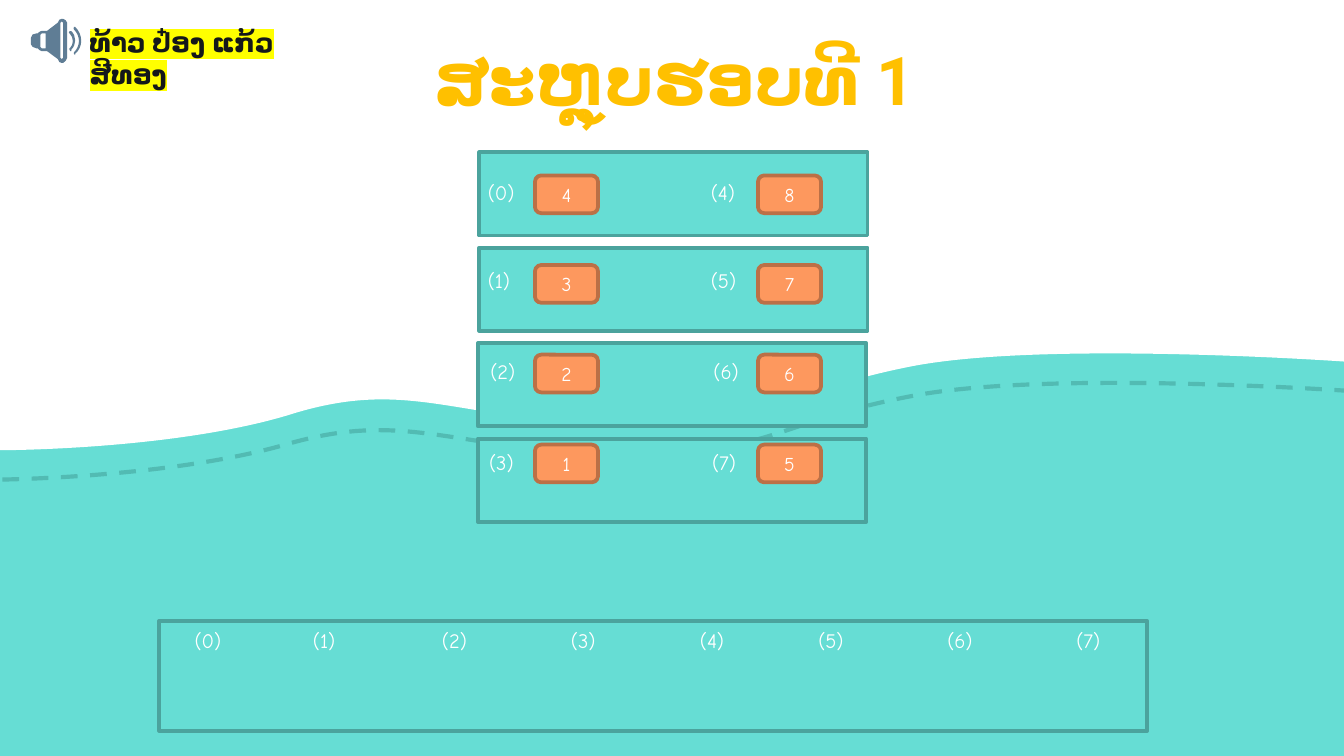
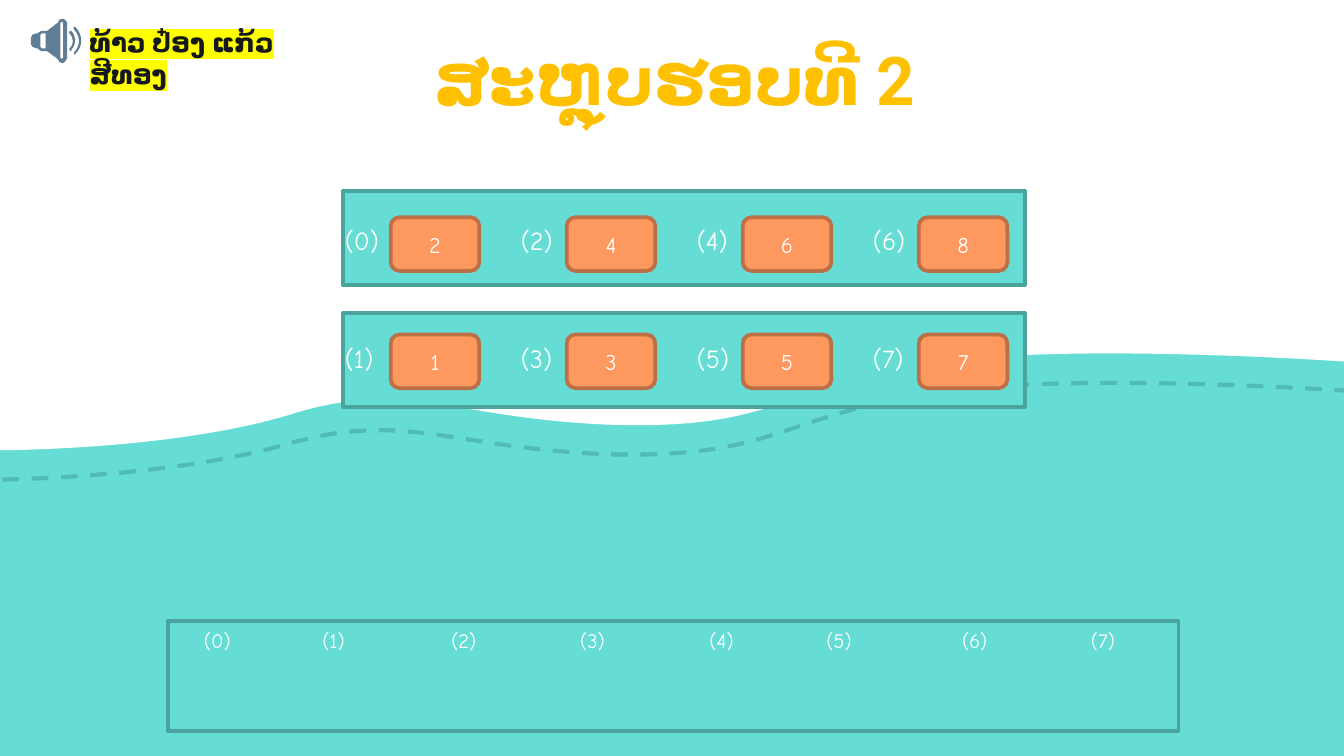
from dataclasses import dataclass
from typing import NamedTuple

from lxml.etree import SubElement
from pptx import Presentation
from pptx.dml.color import RGBColor
from pptx.enum.dml import MSO_LINE
from pptx.enum.shapes import MSO_SHAPE
from pptx.enum.text import MSO_ANCHOR, MSO_AUTO_SIZE, PP_ALIGN
from pptx.oxml.ns import qn
from pptx.shapes.autoshape import Shape
from pptx.shapes.shapetree import GroupShapes, SlideShapes
from pptx.slide import Slide, SlideLayout
from pptx.util import Pt

COLORS = {
    "sea": "66DDD4",
    "sea_line": "4BA39D",
    "wave_line": "52BBB3",
    "sky": "FFFFFF",
    "label": "FFFFFF",
    "title": "FFC000",
    "tile": "FD985E",
    "tile_line": "BB7046",
    "speaker": "5F7D95",
    "name": "14181A",
    "highlight": "FFFF00",
}
BODY_FONT = "Comic Neue"
HEAD_FONT = "Roboto"
PLAYER_NAME = "ທ້າວ ປ໋ອງ ແກ້ວສີທອງ"

# A contour starts at a point; two numbers add a line, six add a Bézier curve.
Contour = tuple[tuple[float, ...], ...]

DASHED_WAVE: Contour = (
    (723.6, 15.8), (-2.9, 15.8), (-2.9, 257),
    (-2.9, 257, 89.3, 256.3, 152.6, 238.3),
    (216, 219.6, 239.8, 239.8, 325.4, 243.4),
    (410.4, 245.5, 415.4, 226.1, 487.4, 212.4),
    (559.4, 198, 723.6, 209.5, 723.6, 209.5),
)
SKY: Contour = (
    (720, 0), (0, 0), (0, 241.2),
    (0, 241.2, 91.4, 241.2, 154.1, 222.5),
    (217.4, 202.3, 241.2, 223.9, 325.4, 227.5),
    (410.4, 230.4, 414.7, 211, 486.7, 196.6),
    (557.3, 182.2, 720, 193.7, 720, 193.7),
)
OUTER_SOUND: Contour = (
    (40.3, 14.4), (39.6, 14.4, 39.6, 14.4, 39.6, 14.4),
    (39.4, 15.1, 39.4, 15.8, 39.6, 15.8),
    (43.2, 19.4, 43.2, 24.5, 39.6, 28.1),
    (39.4, 28.1, 39.4, 28.8, 39.6, 28.8),
    (39.6, 29.5, 39.6, 29.5, 40.3, 29.5),
    (40.3, 29.5, 40.3, 29.5, 40.3, 28.8),
    (44.6, 25.2, 44.6, 18.7, 40.3, 14.4),
)
INNER_SOUND: Contour = (
    (38.2, 16.6), (37.4, 16.6, 37.4, 16.6, 37.4, 16.6),
    (36.7, 17.3, 36.7, 18, 37.4, 18),
    (39.6, 20.2, 39.6, 23.8, 37.4, 25.9),
    (36.7, 25.9, 36.7, 26.6, 37.4, 26.6),
    (37.4, 27.4, 37.4, 27.4, 38.2, 27.4),
    (38.2, 27.4, 38.2, 27.4, 38.2, 26.6),
    (41, 23.8, 41, 19.4, 38.2, 16.6),
)
MAGNET_HOLE: Contour = (
    (24.5, 18), (24.5, 25.9), (22.3, 25.9),
    (21.6, 25.9, 21.6, 25.2, 21.6, 25.2), (21.6, 18.7),
    (21.6, 18, 21.6, 18, 22.3, 18),
)
CONE_HOLE: Contour = (
    (33.1, 11.5), (33.8, 11.5, 33.8, 12.2, 33.8, 12.2), (33.8, 31),
    (33.8, 31.7, 33.8, 31.7, 33.1, 31.7),
    (33.1, 31.7, 32.4, 31.7, 32.4, 31), (32.4, 12.2),
    (32.4, 12.2, 33.1, 11.5, 33.1, 11.5),
)
SPEAKER_BODY: Contour = (
    (33.1, 10.1), (32.4, 10.1, 31, 10.8, 31, 12.2),
    (25.2, 16.6), (22.3, 16.6), (21.6, 16.6, 20.9, 17.3, 20.2, 18),
    (19.4, 18), (18, 18, 16.6, 18.7, 16.6, 20.2), (16.6, 23.8),
    (16.6, 24.5, 18, 25.9, 19.4, 25.9), (20.2, 25.9),
    (20.9, 26.6, 21.6, 27.4, 22.3, 27.4), (25.2, 27.4), (31, 31.7),
    (31, 33.1, 32.4, 33.8, 33.1, 33.8), (33.1, 33.8, 33.8, 33.8, 33.8, 33.8),
    (34.6, 33.1, 36, 32.4, 36, 31), (36, 12.2),
    (36, 11.5, 34.6, 10.1, 33.8, 10.1),
)


class Box(NamedTuple):
    left: float
    top: float
    width: float
    height: float

    def shifted(self, right: float = 0, down: float = 0) -> "Box":
        return self._replace(left=self.left + right, top=self.top + down)

    def lengths(self) -> tuple[Pt, ...]:
        return tuple(Pt(value) for value in self)


class TextStyle(NamedTuple):
    font: str
    size: float
    color: str
    bold: bool = False


class Row(NamedTuple):
    """Offsets of one row from the first."""
    band_right: float
    band_down: float
    label_right: float
    label_down: float
    tile_down: float


@dataclass(frozen=True)
class Stack:
    """Bands of numbered tiles, counted down each column."""
    rows: tuple[Row, ...]
    columns: int
    column_pitch: float
    band: Box
    label: Box
    label_size: float
    tile: Box
    tile_size: float


@dataclass(frozen=True)
class Round:
    title: str
    stack: Stack
    answer_band: Box
    slot_lefts: tuple[float, ...]


TITLE_BOX = Box(188.6, 13.4, 335.5, 91.4)
NAME_BOX = Box(41, 10.8, 150, 24.5)
SLOT_BOX = Box(0, 333, 33.8, 20.9)

ROUNDS = (
    Round(
        title="ສະຫຼຸບຮອບທີ 1",
        stack=Stack(
            rows=(Row(0, 0, 0, 0, 0), Row(0, 51.1, 0, 47.5, 48),
                  Row(-0.7, 102.2, 1.4, 95.8, 96), Row(-0.7, 153.4, 0.7, 144.7, 144.2)),
            columns=2, column_pitch=119.5,
            band=Box(256.7, 81.6, 208.1, 44.6),
            label=Box(254.2, 92.7, 36.7, 18), label_size=11,
            tile=Box(286.6, 94, 33.8, 20.2), tile_size=10.5,
        ),
        answer_band=Box(85.3, 332.6, 529.2, 59),
        slot_lefts=(97.2, 160.6, 229.7, 298.8, 367.9, 431.3, 500.4, 569.5),
    ),
    Round(
        title="ສະຫຼຸບຮອບທີ 2",
        stack=Stack(
            rows=(Row(0, 0, 0, 0, 0), Row(0, 65.5, 0, 63.2, 62.8)),
            columns=4, column_pitch=94.3,
            band=Box(183.7, 102.2, 365.3, 50.4),
            label=Box(177.7, 116.6, 47.5, 24.5), label_size=14,
            tile=Box(209.3, 116.4, 47.5, 28.8), tile_size=12,
        ),
        answer_band=Box(90, 332.6, 541.4, 59),
        slot_lefts=(102.2, 165.6, 234.7, 303.8, 373, 435.6, 508.3, 577.4),
    ),
)


def rgb(color: str) -> RGBColor:
    return RGBColor.from_string(COLORS[color])


def paint(shape: Shape, fill: str | None, line: str | None, width: float = 2) -> None:
    shape.shadow.inherit = False
    if fill:
        shape.fill.solid()
        shape.fill.fore_color.rgb = rgb(fill)
    else:
        shape.fill.background()
    if line:
        shape.line.color.rgb = rgb(line)
        shape.line.width = Pt(width)
    else:
        shape.line.fill.background()


def write(shape: Shape, text: str, style: TextStyle, highlight: str | None = None,
          alignment: PP_ALIGN = PP_ALIGN.LEFT, **frame_format: object) -> None:
    frame = shape.text_frame
    for name, value in {"word_wrap": True, **frame_format}.items():
        setattr(frame, name, value)
    paragraph = frame.paragraphs[0]
    paragraph.alignment = alignment
    run = paragraph.add_run()
    run.text = text
    font_format = {"name": style.font, "size": Pt(style.size), "bold": style.bold}
    for name, value in font_format.items():
        setattr(run.font, name, value)
    run.font.color.rgb = rgb(style.color)
    properties = run._r.get_or_add_rPr()
    SubElement(properties, qn("a:cs"), typeface=style.font)
    if highlight:
        mark = SubElement(properties, qn("a:highlight"))
        SubElement(mark, qn("a:srgbClr"), val=COLORS[highlight])
        properties.find(qn("a:latin")).addprevious(mark)


def add_label(shapes: SlideShapes | GroupShapes, box: Box, text: str,
              style: TextStyle, highlight: str | None = None) -> None:
    label = shapes.add_textbox(*box.lengths())
    write(label, text, style, highlight, auto_size=MSO_AUTO_SIZE.SHAPE_TO_FIT_TEXT)


def add_band(slide: Slide, box: Box) -> None:
    band = slide.shapes.add_shape(MSO_SHAPE.RECTANGLE, *box.lengths())
    paint(band, "sea", "sea_line")


def add_tile(slide: Slide, box: Box, number: int, size: float) -> None:
    tile = slide.shapes.add_shape(MSO_SHAPE.ROUNDED_RECTANGLE, *box.lengths())
    paint(tile, "tile", "tile_line")
    write(tile, str(number), TextStyle(BODY_FONT, size, "label"),
          alignment=PP_ALIGN.CENTER, vertical_anchor=MSO_ANCHOR.MIDDLE)


def add_outline(shapes: SlideShapes | GroupShapes, *contours: Contour) -> Shape:
    """Build a freeform, then join each three control points into a curve."""
    builder = shapes.build_freeform(*map(Pt, contours[0][0]))
    for number, (start, *segments) in enumerate(contours):
        if number:
            builder.move_to(*map(Pt, start))
        vertices = [(Pt(x), Pt(y)) for segment in segments
                    for x, y in zip(segment[::2], segment[1::2])]
        builder.add_line_segments(vertices, close=True)
    outline = builder.convert_to_shape()
    lines = iter(list(outline.element.iter(qn("a:lnTo"))))
    for segment in (part for contour in contours for part in contour[1:]):
        step = next(lines)
        if len(segment) == 6:
            step.addprevious(curve := step.makeelement(qn("a:cubicBezTo")))
            for control in (step, next(lines), next(lines)):
                curve.append(control[0])
                control.getparent().remove(control)
    return outline


def dress_layout(layout: SlideLayout, slide: Slide) -> None:
    """Draw the shared sea and sky on a slide, then hand them to its layout."""
    layout.background.fill.solid()
    layout.background.fill.fore_color.rgb = rgb("sea")
    wave = add_outline(slide.shapes, DASHED_WAVE)
    paint(wave, None, "wave_line", 2.25)
    wave.line.dash_style = MSO_LINE.DASH
    sky = add_outline(slide.shapes, SKY)
    paint(sky, "sky", None)
    for scenery in (wave, sky):
        layout.shapes.element.append(scenery.element)


def set_title(slide: Slide, text: str) -> None:
    title = slide.shapes.title
    for name, value in zip(Box._fields, TITLE_BOX.lengths()):
        setattr(title, name, value)
    margins = {f"margin_{side}": Pt(7.2) for side in ("left", "top", "right", "bottom")}
    write(title, text, TextStyle(HEAD_FONT, 36, "title", bold=True),
          alignment=PP_ALIGN.CENTER, vertical_anchor=MSO_ANCHOR.TOP,
          auto_size=MSO_AUTO_SIZE.NONE, **margins)
    properties = title.text_frame.paragraphs[0]._p.get_or_add_pPr()
    for name, value in {"marL": Pt(36), "indent": Pt(-26)}.items():
        properties.set(name, str(int(value)))


def add_stack(slide: Slide, stack: Stack) -> None:
    label_style = TextStyle(BODY_FONT, stack.label_size, "label")
    for level, row in enumerate(stack.rows):
        add_band(slide, stack.band.shifted(row.band_right, row.band_down))
        for column in range(stack.columns):
            right = column * stack.column_pitch
            index = column * len(stack.rows) + level
            number = (column + 1) * len(stack.rows) - level
            add_label(slide.shapes,
                      stack.label.shifted(right + row.label_right, row.label_down),
                      f"({index})", label_style)
            add_tile(slide, stack.tile.shifted(right, row.tile_down),
                     number, stack.tile_size)


def add_player(slide: Slide) -> None:
    player = slide.shapes.add_group_shape().shapes
    for contours in ((OUTER_SOUND,), (INNER_SOUND,),
                     (MAGNET_HOLE, CONE_HOLE, SPEAKER_BODY)):
        paint(add_outline(player, *contours), "speaker", None)
    add_label(player, NAME_BOX, PLAYER_NAME,
              TextStyle(HEAD_FONT, 14, "name", bold=True), "highlight")


def main() -> None:
    deck = Presentation()
    deck.slide_width, deck.slide_height = Pt(720), Pt(405)
    layout = deck.slide_layouts.get_by_name("Title Only")
    slot_style = TextStyle(BODY_FONT, 11, "label")
    for position, game_round in enumerate(ROUNDS):
        slide = deck.slides.add_slide(layout)
        if position == 0:
            dress_layout(layout, slide)
        set_title(slide, game_round.title)
        add_stack(slide, game_round.stack)
        add_band(slide, game_round.answer_band)
        for index, left in enumerate(game_round.slot_lefts):
            add_label(slide.shapes, SLOT_BOX.shifted(left), f"({index})", slot_style)
        add_player(slide)
    deck.save("out.pptx")


if __name__ == "__main__":
    main()
